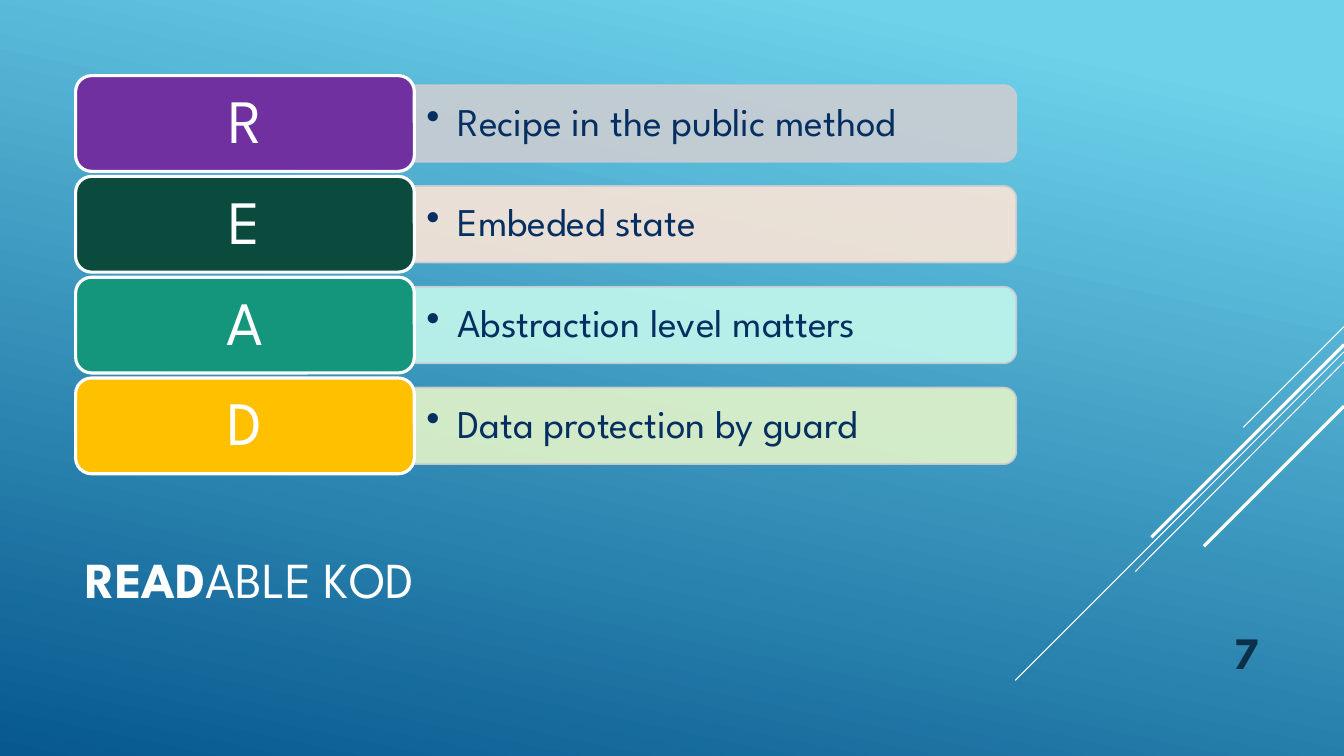
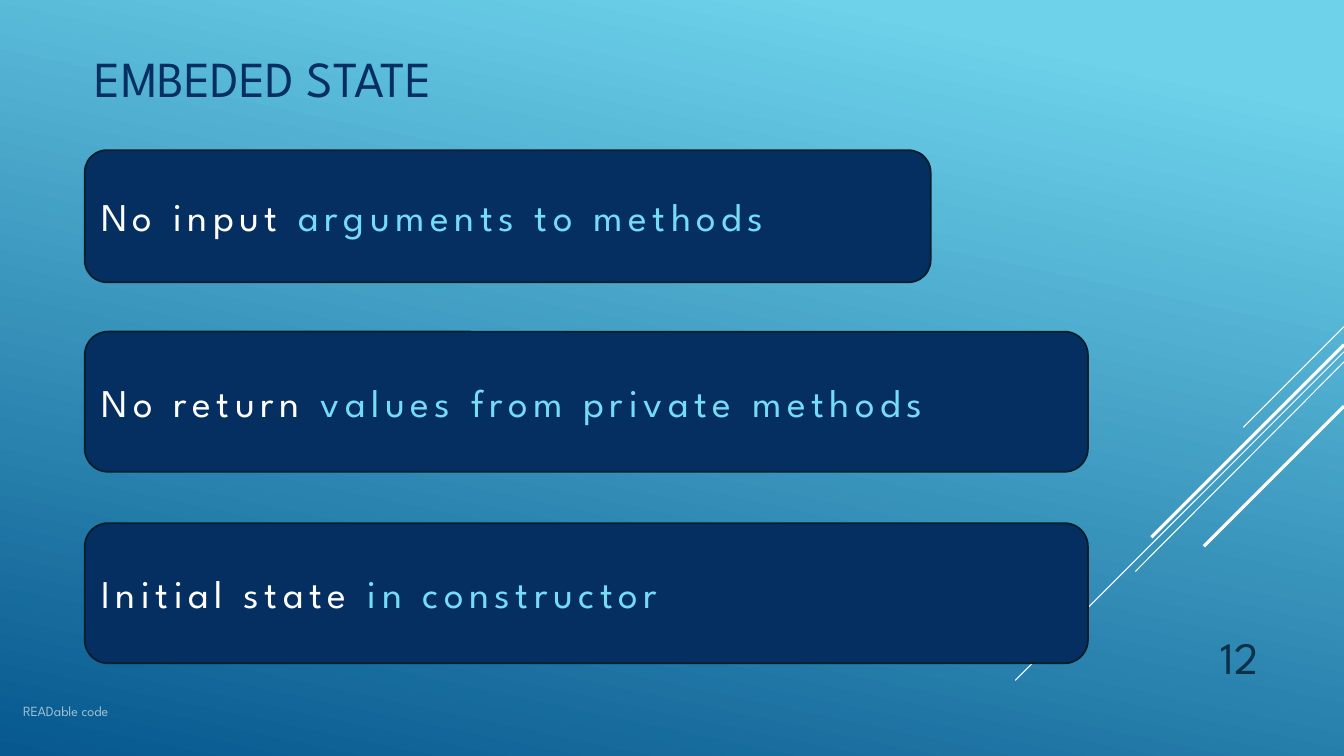
from lxml import etree
from pptx import Presentation
from pptx.dml.color import RGBColor
from pptx.enum.shapes import MSO_CONNECTOR, MSO_SHAPE
from pptx.enum.text import MSO_ANCHOR, PP_ALIGN
from pptx.oxml.ns import qn
from pptx.util import Inches, Pt

FONT = "League Spartan"
WHITE = RGBColor(0xFF, 0xFF, 0xFF)
NAVY = RGBColor(0x05, 0x2F, 0x61)
NAVY_EDGE = RGBColor(0x02, 0x1E, 0x2B)
NUMBER_INK = RGBColor(0x0A, 0x30, 0x4A)
SKY = RGBColor(0x76, 0xDB, 0xF4)
BAND_EDGE = RGBColor(0xCC, 0xCD, 0xD2)
BACKGROUND = [(0.1, RGBColor(0x6E, 0xD2, 0xEB)), (1.0, RGBColor(0x06, 0x58, 0x8E))]

# x and y of both ends, then width in points
RAYS = [
    (13.33, 3.24, 12.33, 4.24, 0.75),
    (13.33, 3.49, 10.07, 6.75, 0.75),
    (13.33, 3.59, 11.26, 5.67, 0.75),
    (13.33, 3.42, 11.42, 5.33, 2.25),
    (13.33, 4.03, 11.94, 5.42, 2.25),
]

# letter, tile colour, meaning, band colour
PRINCIPLES = [
    ("R", RGBColor(0x70, 0x30, 0xA0), "Recipe in the public method", BAND_EDGE),
    ("E", RGBColor(0x0A, 0x4B, 0x3E), "Embeded state", RGBColor(0xFA, 0xE5, 0xD7)),
    ("A", RGBColor(0x14, 0x96, 0x7C), "Abstraction level matters", RGBColor(0xC3, 0xF7, 0xED)),
    ("D", RGBColor(0xFF, 0xC0, 0x00), "Data protection by guard", RGBColor(0xE3, 0xF4, 0xC9)),
]
ROW_TOP, ROW_STEP = 0.75, 1.0
TILE_LEFT, TILE_W, TILE_H = 0.75, 3.36, 0.95
BAND_W, BAND_H = 5.97, 0.76

# lead, rest, top, width, height
RULES = [
    ("No input ", "arguments to methods", 1.49, 8.39, 1.31),
    ("No return ", "values from private methods", 3.29, 9.95, 1.39),
    ("Initial state ", "in constructor", 5.19, 9.95, 1.39),
]
RULE_LEFT = 0.84


def box(left, top, width, height):
    return [Inches(v) for v in (left, top, width, height)]


def set_alpha(color_parent, percent):
    """Make every RGB colour below an element partly transparent."""
    for color in color_parent.iter(qn("a:srgbClr")):
        etree.SubElement(color, qn("a:alpha")).set("val", str(percent * 1000))


def write(sp, runs, size, anchor=MSO_ANCHOR.MIDDLE, align=PP_ALIGN.LEFT, spacing=0):
    """Fill a shape with one paragraph of (text, colour, bold) runs."""
    tf = sp.text_frame
    tf.word_wrap = True
    tf.vertical_anchor = anchor
    p = tf.paragraphs[0]
    p.alignment = align
    for words, color, bold in runs:
        r = p.add_run()
        r.text = words
        r.font.name, r.font.size, r.font.bold = FONT, Pt(size), bold
        r.font.color.rgb = color
        if spacing:
            r.font._element.set("spc", str(spacing * 100))
    return p


def add_text(slide, place, runs, size, **style):
    sp = slide.shapes.add_textbox(*box(*place))
    write(sp, runs, size, **style)
    return sp


def add_block(slide, kind, place, fill, edge, edge_width):
    sp = slide.shapes.add_shape(kind, *box(*place))
    sp.shadow.inherit = False
    sp.fill.solid()
    sp.fill.fore_color.rgb = fill
    sp.line.color.rgb = edge
    sp.line.width = Pt(edge_width)
    return sp


def set_background(master):
    fill = master.background.fill
    fill.gradient()
    fill.gradient_angle = 258
    for stop, (position, color) in zip(fill.gradient_stops, BACKGROUND):
        stop.position = position
        stop.color.rgb = color


def add_slide(prs, title_place, title_runs):
    """Add a slide with its diagonal rays and title."""
    slide = prs.slides.add_slide(prs.slide_layouts[5])
    for x1, y1, x2, y2, width in RAYS:
        ray = slide.shapes.add_connector(MSO_CONNECTOR.STRAIGHT, *box(x1, y1, x2, y2))
        ray.line.color.rgb = WHITE
        ray.line.width = Pt(width)
        etree.SubElement(ray._element.spPr, qn("a:effectLst"))
    title = slide.shapes.title
    title.left, title.top, title.width, title.height = box(*title_place)
    write(title, title_runs, 36)
    return slide


def add_number(slide, number, bold=False, **style):
    add_text(slide, (11.33, 6.1, 1.25, 0.73), [(number, NUMBER_INK, bold)], 32,
             align=PP_ALIGN.RIGHT, **style)


def add_principle(slide, top, letter, tile_color, meaning, band_color):
    band_left = TILE_LEFT + TILE_W
    middle = top + TILE_H / 2
    # The band is an upright shape turned on its side about its centre
    upright = (band_left + (BAND_W - BAND_H) / 2, middle - BAND_W / 2, BAND_H, BAND_W)
    band = add_block(slide, MSO_SHAPE.ROUND_2_SAME_RECTANGLE, upright,
                     band_color, BAND_EDGE, 1.25)
    band.rotation = 90
    set_alpha(band._element.spPr, 90)

    label = slide.shapes.add_textbox(*box(band_left, middle - 0.345, 5.94, 0.69))
    tf = label.text_frame
    tf.margin_left = tf.margin_right = Inches(0.12)
    tf.margin_top = tf.margin_bottom = Inches(0.06)
    pPr = tf.paragraphs[0]._p.get_or_add_pPr()
    pPr.set("marL", str(Inches(0.31)))
    pPr.set("indent", str(-Inches(0.31)))
    etree.SubElement(pPr, qn("a:buChar")).set("char", "•")
    write(label, [(meaning, NAVY, False)], 28).line_spacing = 0.9

    tile = add_block(slide, MSO_SHAPE.ROUNDED_RECTANGLE,
                     (TILE_LEFT, top, TILE_W, TILE_H), tile_color, WHITE, 2.25)
    write(tile, [(letter, WHITE, False)], 44, align=PP_ALIGN.CENTER).line_spacing = 0.9


def build_overview(prs):
    slide = add_slide(prs, (0.75, 4.91, 9.33, 1.65),
                      [("READ", WHITE, True), ("ABLE KOD", WHITE, False)])
    for i, principle in enumerate(PRINCIPLES):
        add_principle(slide, ROW_TOP + i * ROW_STEP, *principle)
    add_number(slide, "7", bold=True, spacing=1)


def build_embedded_state(prs):
    slide = add_slide(prs, (0.84, 0.18, 9.33, 1.18), [("EMBEDED STATE", NAVY, False)])
    for lead, rest, top, width, height in RULES:
        card = add_block(slide, MSO_SHAPE.ROUNDED_RECTANGLE,
                         (RULE_LEFT, top, width, height), NAVY, NAVY_EDGE, 1.25)
        write(card, [(lead, WHITE, False), (rest, SKY, False)], 28, spacing=4)
    add_number(slide, "12", anchor=MSO_ANCHOR.BOTTOM)
    footer = add_text(slide, (0.13, 6.92, 8.25, 0.4), [("READable code", WHITE, False)], 10,
                      anchor=MSO_ANCHOR.TOP)
    set_alpha(footer.text_frame._txBody, 60)


def main():
    prs = Presentation()
    prs.slide_width, prs.slide_height = Inches(13.33), Inches(7.5)
    set_background(prs.slide_master)
    build_overview(prs)
    build_embedded_state(prs)
    prs.save("out.pptx")


if __name__ == "__main__":
    main()
